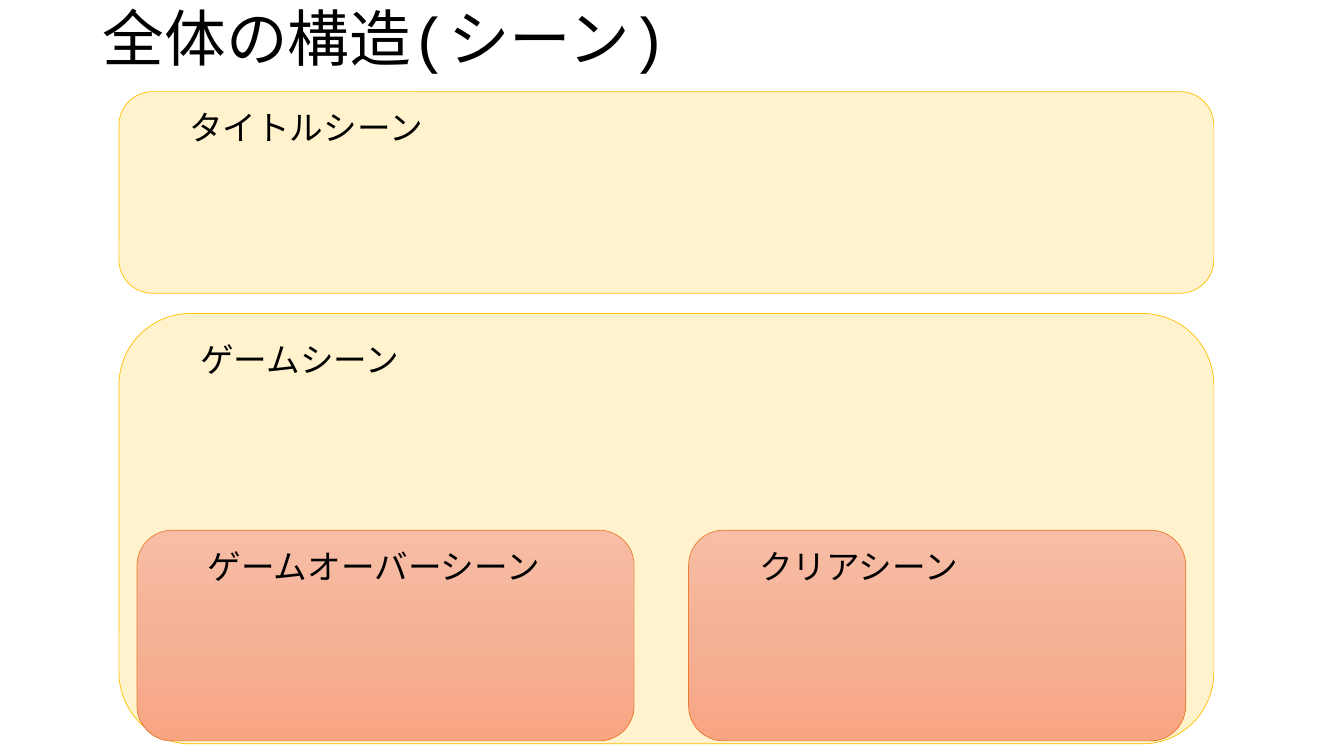
from copy import deepcopy

from pptx import Presentation, util as u
from pptx.dml.color import RGBColor
from pptx.enum import shapes, text

BLACK = RGBColor(0x00, 0x00, 0x00)
CREAM = RGBColor(0xFF, 0xF2, 0xCC)
GOLD = RGBColor(0xFF, 0xC0, 0x00)
ORANGE = RGBColor(0xED, 0x7D, 0x31)
SALMON = [RGBColor(0xF7, 0xBD, 0xA5), RGBColor(0xF5, 0xB1, 0x96), RGBColor(0xF8, 0xA5, 0x82)]
FONT = "Courier New"

deck = Presentation()
deck.slide_width, deck.slide_height = u.Inches(13.33), u.Inches(7.5)
slide = deck.slides.add_slide(deck.slide_layouts[5])


def style(paragraph, size):
    paragraph.alignment = text.PP_ALIGN.LEFT
    paragraph.font.name = FONT
    paragraph.font.size = u.Pt(size)
    paragraph.font.color.rgb = BLACK


def add_scene(name, left, top, width, height, edge):
    scene = slide.shapes.add_shape(
        shapes.MSO_SHAPE.ROUNDED_RECTANGLE, *map(u.Inches, (left, top, width, height)))
    scene.shadow.inherit = False
    scene.line.color.rgb = edge
    scene.line.width = u.Pt(0.5)
    scene.text_frame.vertical_anchor = text.MSO_ANCHOR.TOP
    label = scene.text_frame.paragraphs[0]
    label.text = name
    label.level = 1
    style(label, 24)
    indent = label._p.get_or_add_pPr()
    indent.set("marL", str(u.Inches(0.5)))
    indent.set("indent", "0")
    return scene


heading = slide.shapes.title
heading.left, heading.top, heading.width, heading.height = map(u.Inches, (0.92, 0.02, 11.5, 0.79))
heading.text_frame.text = "全体の構造(シーン)"
heading.text_frame.auto_size = text.MSO_AUTO_SIZE.NONE
heading.text_frame.vertical_anchor = text.MSO_ANCHOR.MIDDLE
heading.text_frame.paragraphs[0].line_spacing = 0.9
style(heading.text_frame.paragraphs[0], 44)

for name, top, height in [("タイトルシーン", 0.91, 2), ("ゲームシーン", 3.11, 4.27)]:
    main_scene = add_scene(name, 1.18, top, 10.86, height, GOLD)
    main_scene.fill.solid()
    main_scene.fill.fore_color.rgb = CREAM

for column, name in enumerate(["ゲームオーバーシーン", "クリアシーン"]):
    end_scene = add_scene(name, 1.36 + column * 5.47, 5.26, 4.93, 2.09, ORANGE)
    end_scene.fill.gradient()
    end_scene.fill.gradient_angle = 270
    stops = end_scene._element.spPr.xpath(".//a:gsLst")[0]
    stops.insert(1, deepcopy(stops[0]))
    for stop, position, color in zip(end_scene.fill.gradient_stops, (0, 0.5, 1), SALMON):
        stop.position = position
        stop.color.rgb = color

deck.save("out.pptx")
